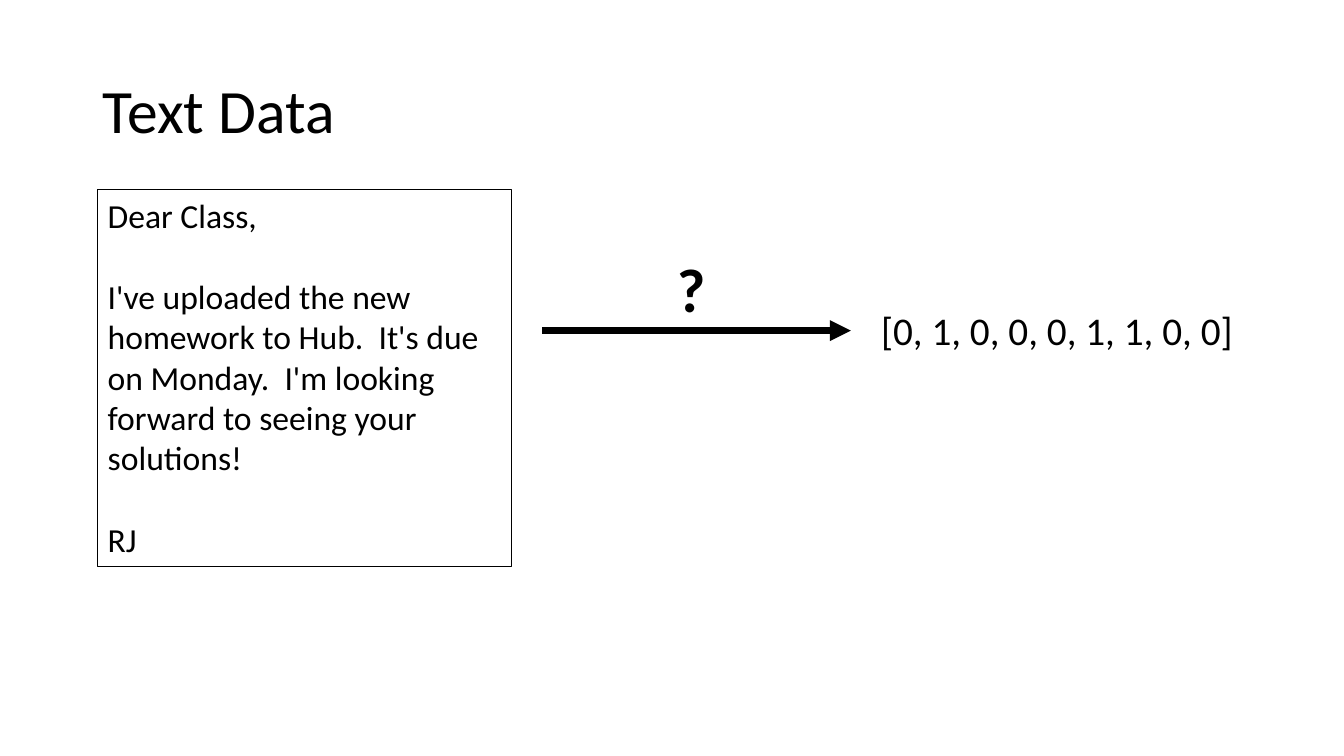
from lxml.etree import SubElement
from pptx import Presentation
from pptx.dml.color import RGBColor
from pptx.enum.shapes import MSO_CONNECTOR, MSO_SHAPE
from pptx.enum.text import MSO_ANCHOR, PP_ALIGN
from pptx.oxml.ns import qn
from pptx.util import Inches, Pt

COLORS = {"ink": "000000", "paper": "FFFFFF"}
INK = RGBColor.from_string(COLORS["ink"])
LETTER_SIZE = 24
LETTER_GAP = Pt(29.3)


def write(para, text, size, bold=False, align=PP_ALIGN.LEFT):
    para.alignment = align
    span = para.add_run()
    span.text = text
    span.font.name = "Calibri"
    span.font.size = Pt(size)
    span.font.bold = bold
    span.font.color.rgb = INK


deck = Presentation()
deck.slide_width = Inches(13.33)
deck.slide_height = Inches(7.5)
page = deck.slides.add_slide(deck.slide_layouts[5])
page.background.fill.solid()
page.background.fill.fore_color.rgb = RGBColor.from_string(COLORS["paper"])

title = page.shapes.title
title.left, title.top = Inches(0.92), Inches(0.4)
title.width, title.height = Inches(11.5), Inches(1.45)
title.text_frame.vertical_anchor = MSO_ANCHOR.MIDDLE
title_para = title.text_frame.paragraphs[0]
title_para.line_spacing = 0.9
write(title_para, "Text Data", 44)

letter = page.shapes.add_shape(
    MSO_SHAPE.RECTANGLE, Inches(0.97), Inches(1.88), Inches(4.1), Inches(3.74)
)
letter.shadow.inherit = False
letter.fill.background()
letter.line.color.rgb = INK
letter.line.width = Pt(0.75)
letter_frame = letter.text_frame
letter_frame.word_wrap = True
letter_frame.vertical_anchor = MSO_ANCHOR.TOP
letter_parts = [
    "Dear Class,",
    "I've uploaded the new homework to Hub.  It's due on Monday.  "
    "I'm looking forward to seeing your solutions!",
    "RJ",
]
for index, text in enumerate(letter_parts):
    para = letter_frame.add_paragraph() if index else letter_frame.paragraphs[0]
    para.space_before = LETTER_GAP if index else Pt(0)
    write(para, text, LETTER_SIZE)

arrow = page.shapes.add_connector(
    MSO_CONNECTOR.STRAIGHT, Inches(5.38), Inches(3.28), Inches(8.44), Inches(3.28)
)
arrow.line.color.rgb = INK
arrow.line.width = Pt(5)
SubElement(arrow.line._get_or_add_ln(), qn("a:tailEnd"), type="triangle")
SubElement(arrow._element.spPr, qn("a:effectLst"))

labels = [
    ("[0, 1, 0, 0, 0, 1, 1, 0, 0]", 8.64, 2.99, 3.73, 0.57, 28, False, PP_ALIGN.LEFT),
    ("?", 6.3, 2.44, 1.11, 0.84, 44, True, PP_ALIGN.CENTER),
]
for text, left, top, width, height, size, bold, align in labels:
    box = page.shapes.add_textbox(Inches(left), Inches(top), Inches(width), Inches(height))
    box.text_frame.word_wrap = True
    write(box.text_frame.paragraphs[0], text, size, bold, align)

deck.save("out.pptx")
